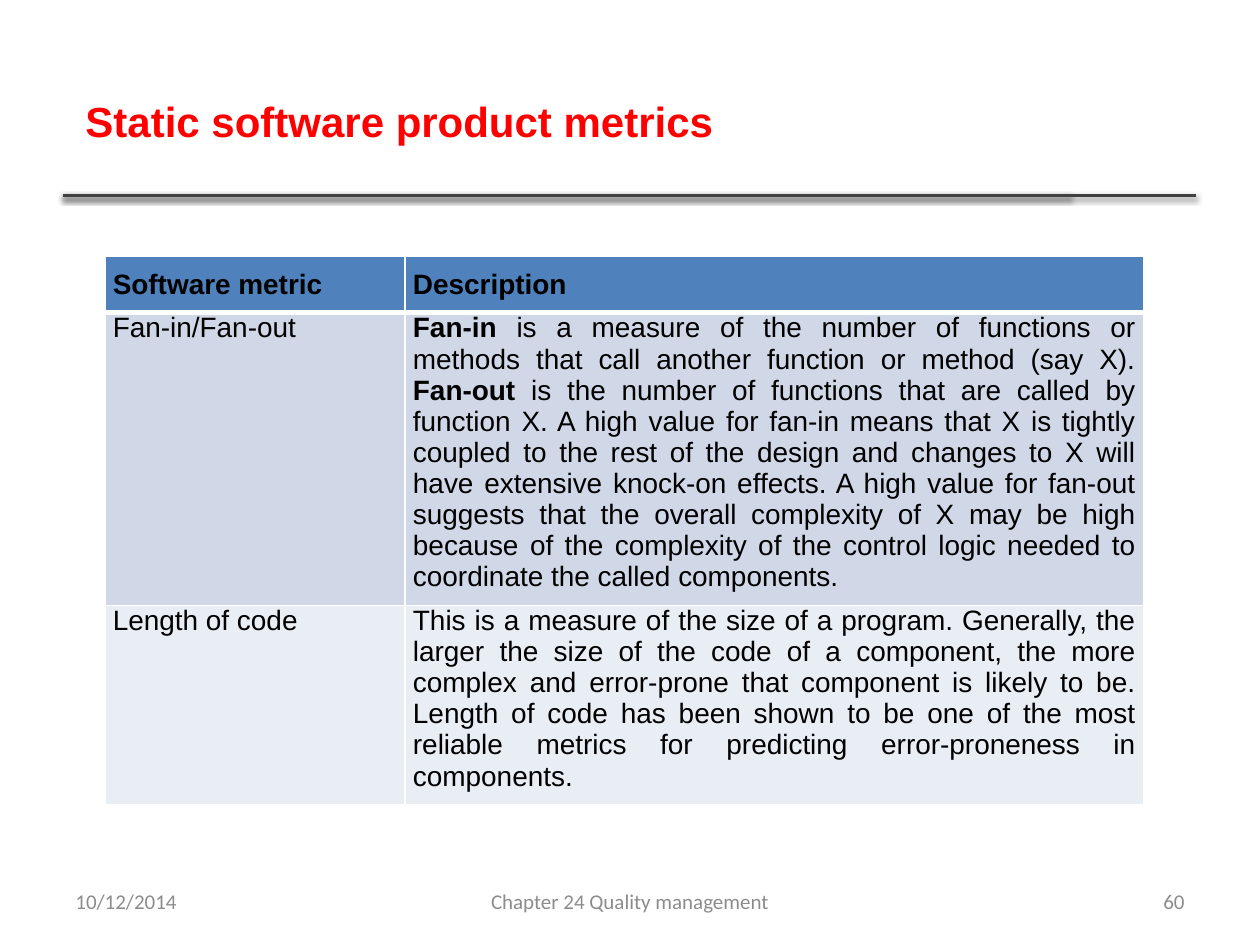
"""Build the slide on static software product metrics."""
from dataclasses import dataclass

from lxml import etree
from pptx import Presentation
from pptx.dml.color import RGBColor
from pptx.enum.shapes import MSO_CONNECTOR
from pptx.enum.text import MSO_ANCHOR, PP_ALIGN
from pptx.oxml import parse_xml
from pptx.oxml.ns import qn
from pptx.util import Pt

LEFT, CENTER, RIGHT, JUSTIFY = PP_ALIGN.LEFT, PP_ALIGN.CENTER, PP_ALIGN.RIGHT, PP_ALIGN.JUSTIFY
MIDDLE = MSO_ANCHOR.MIDDLE
STRAIGHT = MSO_CONNECTOR.STRAIGHT

RED = RGBColor(0xFF, 0x00, 0x00)
BLACK = RGBColor(0x00, 0x00, 0x00)
GREY = RGBColor(0x8C, 0x8C, 0x8C)
DARK = RGBColor(0x40, 0x40, 0x40)
BLUE = RGBColor(0x4F, 0x81, 0xBD)
BAND = RGBColor(0xD0, 0xD8, 0xE8)
PALE = RGBColor(0xE9, 0xED, 0xF4)

NS = "http://schemas.openxmlformats.org/drawingml/2006/main"
SHADOW = (
    f'<a:effectLst xmlns:a="{NS}"><a:outerShdw blurRad="{Pt(3.1)}" dist="{Pt(1.6)}" '
    'dir="5400000" rotWithShape="0"><a:srgbClr val="000000"><a:alpha val="38000"/>'
    "</a:srgbClr></a:outerShdw></a:effectLst>"
)


@dataclass
class Run:
    text: str
    bold: bool = False


@dataclass
class Style:
    font: str
    size: float
    color: RGBColor


@dataclass
class Label:
    x: float
    y: float
    w: float
    h: float
    run: Run
    style: Style
    align: PP_ALIGN = LEFT


@dataclass
class Row:
    height: float
    fill: RGBColor
    inset_top: float
    border_bottom: float
    name_align: PP_ALIGN
    name: Run
    description: list[Run]


TITLE = Style("Arial", 24, RED)
BODY = Style("Arial", 16, BLACK)
FOOTER = Style("Calibri", 12, GREY)

LABELS = [
    Label(41.76, 30.24, 570.24, 77.76, Run("Static software product metrics", True), TITLE),
    Label(246, 500.5, 228, 28.75, Run("Chapter 24 Quality management"), FOOTER, CENTER),
    Label(516, 500.5, 168, 28.75, Run("60"), FOOTER, RIGHT),
    Label(36, 500.5, 168, 28.75, Run("10/12/2014"), FOOTER),
]
RULE_ENDS = [611.5, 683.5]
COLUMNS = [171.5, 422]
ROWS = [
    Row(31.5, BLUE, 7.2, 3, JUSTIFY, Run("Software metric", True), [Run("Description", True)]),
    Row(167, BAND, 0, 1, LEFT, Run("Fan-in/Fan-out"), [
        Run("Fan-in", True),
        Run(" is a measure of the number of functions or methods that call another "
            "function or method (say X). "),
        Run("Fan-out", True),
        Run(" is the number of functions that are called by function X. A high value for "
            "fan-in means that X is tightly coupled to the rest of the design and changes "
            "to X will have extensive knock-on effects. A high value for fan-out suggests "
            "that the overall complexity of X may be high because of the complexity of the "
            "control logic needed to coordinate the called components."),
    ]),
    Row(114, PALE, 0, 1, LEFT, Run("Length of code"), [
        Run("This is a measure of the size of a program. Generally, the larger the size of "
            "the code of a component, the more complex and error-prone that component is "
            "likely to be. Length of code has been shown to be one of the most reliable "
            "metrics for predicting error-proneness in components."),
    ]),
]


def write(tf, runs: list[Run], style: Style, align: PP_ALIGN) -> None:
    """Write the runs into the first paragraph of a text frame."""
    p = tf.paragraphs[0]
    p.alignment = align
    for run in runs:
        r = p.add_run()
        r.text = run.text
        r.font.name = style.font
        r.font.size = Pt(style.size)
        r.font.bold = run.bold
        r.font.color.rgb = style.color


def add_label(s, label: Label) -> None:
    """Add a vertically centred text box."""
    sp = s.shapes.add_textbox(Pt(label.x), Pt(label.y), Pt(label.w), Pt(label.h))
    tf = sp.text_frame
    tf.word_wrap = True
    tf.vertical_anchor = MIDDLE
    write(tf, [label.run], label.style, label.align)


def add_rule(s, end: float) -> None:
    """Add a shadowed horizontal rule under the title."""
    sp = s.shapes.add_connector(STRAIGHT, Pt(36), Pt(111.6), Pt(end), Pt(111.6))
    sp.line.color.rgb = DARK
    sp.line.width = Pt(2)
    sp._element.spPr.append(parse_xml(SHADOW))


def set_borders(cell, bottom: float) -> None:
    """Give a cell white borders, with its own bottom width."""
    tcPr = cell._tc.get_or_add_tcPr()
    widths = {"lnL": 1, "lnR": 1, "lnT": 1, "lnB": bottom}
    for i, (tag, width) in enumerate(widths.items()):
        ln = etree.Element(qn(f"a:{tag}"), w=str(Pt(width)))
        fill = etree.SubElement(ln, qn("a:solidFill"))
        etree.SubElement(fill, qn("a:srgbClr"), val="FFFFFF")
        tcPr.insert(i, ln)


def fill_cell(cell, row: Row, runs: list[Run], align: PP_ALIGN) -> None:
    """Set the fill, borders, margins and text of a cell."""
    cell.fill.solid()
    cell.fill.fore_color.rgb = row.fill
    cell.margin_left = cell.margin_right = Pt(4.5)
    cell.margin_top = Pt(row.inset_top)
    cell.margin_bottom = Pt(7.2)
    set_borders(cell, row.border_bottom)
    write(cell.text_frame, runs, BODY, align)


def add_metrics_table(s) -> None:
    """Add the table of metrics and descriptions."""
    height = sum(row.height for row in ROWS)
    table = s.shapes.add_table(
        len(ROWS), len(COLUMNS), Pt(60), Pt(146.5), Pt(sum(COLUMNS)), Pt(height)
    ).table
    for column, width in zip(table.columns, COLUMNS):
        column.width = Pt(width)
    for i, row in enumerate(ROWS):
        table.rows[i].height = Pt(row.height)
        fill_cell(table.cell(i, 0), row, [row.name], row.name_align)
        fill_cell(table.cell(i, 1), row, row.description, JUSTIFY)


def main() -> None:
    """Build and save the slide."""
    prs = Presentation()
    prs.slide_width, prs.slide_height = Pt(720), Pt(540)
    s = prs.slides.add_slide(prs.slide_layouts[6])
    for end in RULE_ENDS:
        add_rule(s, end)
    add_metrics_table(s)
    for label in LABELS:
        add_label(s, label)
    prs.save("out.pptx")


if __name__ == "__main__":
    main()
